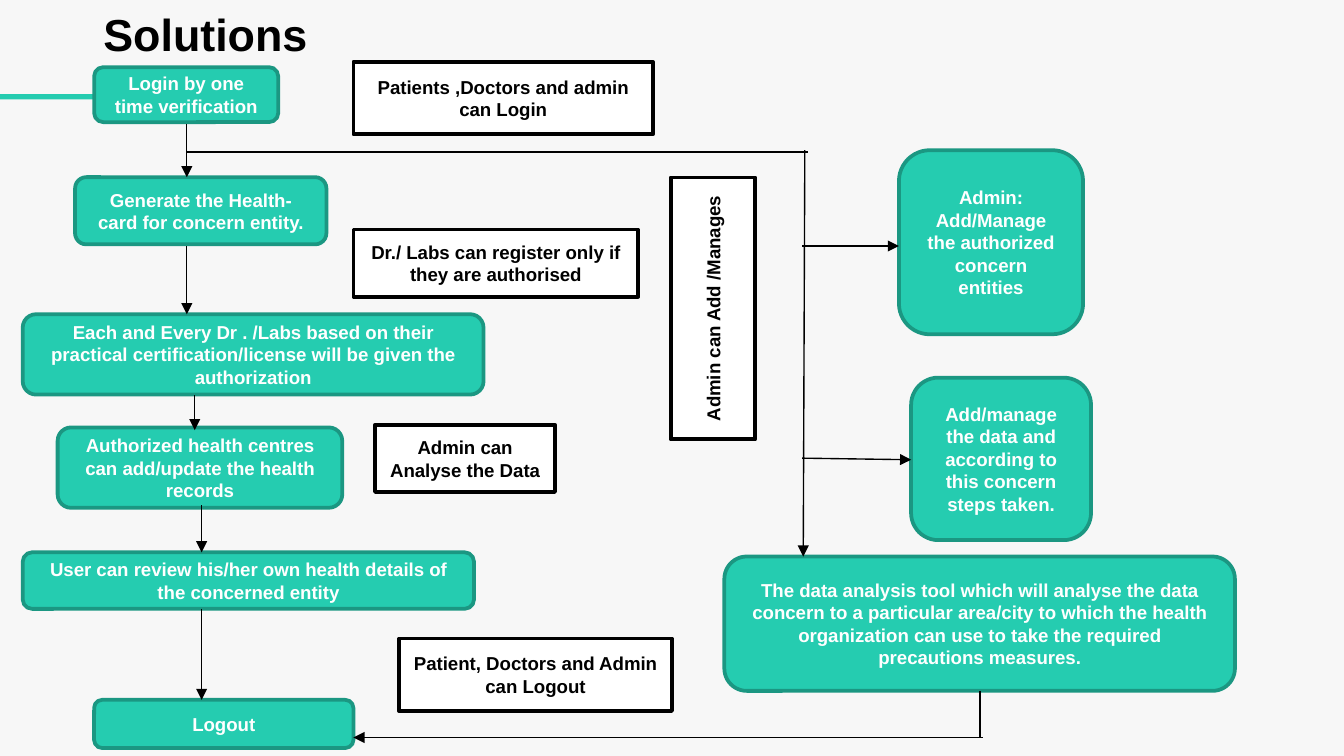
from pptx import Presentation
from pptx.dml.color import RGBColor
from pptx.enum.shapes import MSO_CONNECTOR, MSO_SHAPE
from pptx.enum.text import MSO_ANCHOR, PP_ALIGN
from pptx.oxml.ns import qn
from pptx.util import Cm, Pt
from lxml.etree import SubElement

TEAL, DARK_TEAL = "25CCB0", "1B9782"
BLACK, WHITE, BACKGROUND = "000000", "FFFFFF", "F7F7F7"

STEPS = [
    ("Login by one time verification", 1.78, 1.27, 3.48, 1.04),
    ("Generate the Health-card for concern entity.", 1.42, 3.35, 4.75, 1.27),
    ("Each and Every Dr . /Labs based on their practical certification/license "
     "will be given the authorization", 0.43, 5.94, 8.71, 1.52),
    ("Authorized health centres can add/update the health records",
     1.09, 8.08, 5.38, 1.52),
    ("User can review his/her own health details of the concerned entity",
     0.43, 10.44, 8.53, 1.07),
    ("Logout", 1.78, 13.23, 4.9, 0.91),
    ("Admin: Add/Manage the authorized concern entities", 16.99, 2.84, 3.48, 3.48),
    ("Add/manage the data and according to this concern steps taken.",
     17.22, 7.14, 3.4, 3.07),
    ("The data analysis tool which will analyse the data concern to a particular "
     "area/city to which the health organization can use to take the required "
     "precautions measures.", 13.69, 10.52, 9.65, 2.54),
]

NOTES = [
    ("Patients ,Doctors and admin can Login", 6.68, 1.17, 5.66, 1.37),
    ("Dr./ Labs can register only if they are authorised", 6.68, 4.34, 5.38, 1.27),
    ("Admin can Analyse the Data", 7.09, 8.03, 3.4, 1.27),
    ("Patient, Doctors and Admin can Logout", 7.54, 12.07, 5.16, 1.37),
]

ARROWS = [
    (3.53, 2.34, 3.53, 3.35),
    (3.53, 4.65, 3.53, 5.94),
    (3.68, 7.47, 3.68, 8.13),
    (3.81, 9.55, 3.81, 10.44),
    (3.81, 11.51, 3.81, 13.23),
    (15.21, 2.84, 15.18, 10.52),
    (15.16, 4.65, 16.99, 4.65),
    (15.16, 8.66, 17.22, 8.69),
    (18.57, 13.94, 6.68, 13.94),
]

PLAIN_LINES = [
    (3.53, 2.87, 15.27, 2.87),
    (18.52, 13.06, 18.52, 13.94),
]


def color(value):
    return RGBColor.from_string(value)


def set_font(paragraph, size, font_color):
    paragraph.font.name = "Arial"
    paragraph.font.size = Pt(size)
    paragraph.font.bold = True
    paragraph.font.color.rgb = color(font_color)


def add_title(slide, text):
    title = slide.shapes.title
    title.left, title.top, title.width, title.height = Cm(1.7), Cm(0), Cm(8.08), Cm(1.27)
    frame = title.text_frame
    frame.text = text
    frame.vertical_anchor = MSO_ANCHOR.TOP
    frame.paragraphs[0].alignment = PP_ALIGN.LEFT
    set_font(frame.paragraphs[0], 24, BLACK)


def add_block(slide, kind, left, top, width, height, fill):
    shape = slide.shapes.add_shape(kind, Cm(left), Cm(top), Cm(width), Cm(height))
    shape.shadow.inherit = False
    shape.fill.solid()
    shape.fill.fore_color.rgb = color(fill)
    shape.line.fill.background()
    return shape


def add_label(shape, text, line_color, font_color):
    shape.line.color.rgb = color(line_color)
    shape.line.width = Pt(2)
    frame = shape.text_frame
    frame.word_wrap = True
    frame.vertical_anchor = MSO_ANCHOR.MIDDLE
    frame.text = text
    frame.paragraphs[0].alignment = PP_ALIGN.CENTER
    set_font(frame.paragraphs[0], 10, font_color)


def add_step(slide, text, *box):
    shape = add_block(slide, MSO_SHAPE.ROUNDED_RECTANGLE, *box, TEAL)
    add_label(shape, text, DARK_TEAL, WHITE)


def add_note(slide, text, *box, rotation=0):
    shape = add_block(slide, MSO_SHAPE.RECTANGLE, *box, WHITE)
    shape.rotation = rotation
    add_label(shape, text, BLACK, BLACK)


def add_line(slide, points, arrow=False):
    connector = slide.shapes.add_connector(
        MSO_CONNECTOR.STRAIGHT, *(Cm(value) for value in points))
    connector.line.color.rgb = color(BLACK)
    connector.line.width = Pt(0.75)
    if arrow:
        SubElement(connector.line._get_or_add_ln(), qn("a:tailEnd"), type="triangle")
    SubElement(connector._element.spPr, qn("a:effectLst"))


def main():
    presentation = Presentation()
    presentation.slide_width, presentation.slide_height = Cm(25.4), Cm(14.29)
    slide = presentation.slides.add_slide(presentation.slide_layouts[5])
    slide.background.fill.solid()
    slide.background.fill.fore_color.rgb = color(BACKGROUND)

    add_block(slide, MSO_SHAPE.RECTANGLE, -0.74, 1.78, 2.72, 0.1, TEAL)
    add_title(slide, "Solutions")
    for step in STEPS:
        add_step(slide, *step)
    for note in NOTES:
        add_note(slide, *note)
    add_note(slide, "Admin can Add /Manages", 11, 5.03, 4.95, 1.6, rotation=270)
    for points in ARROWS:
        add_line(slide, points, arrow=True)
    for points in PLAIN_LINES:
        add_line(slide, points)

    presentation.save("out.pptx")


if __name__ == "__main__":
    main()
